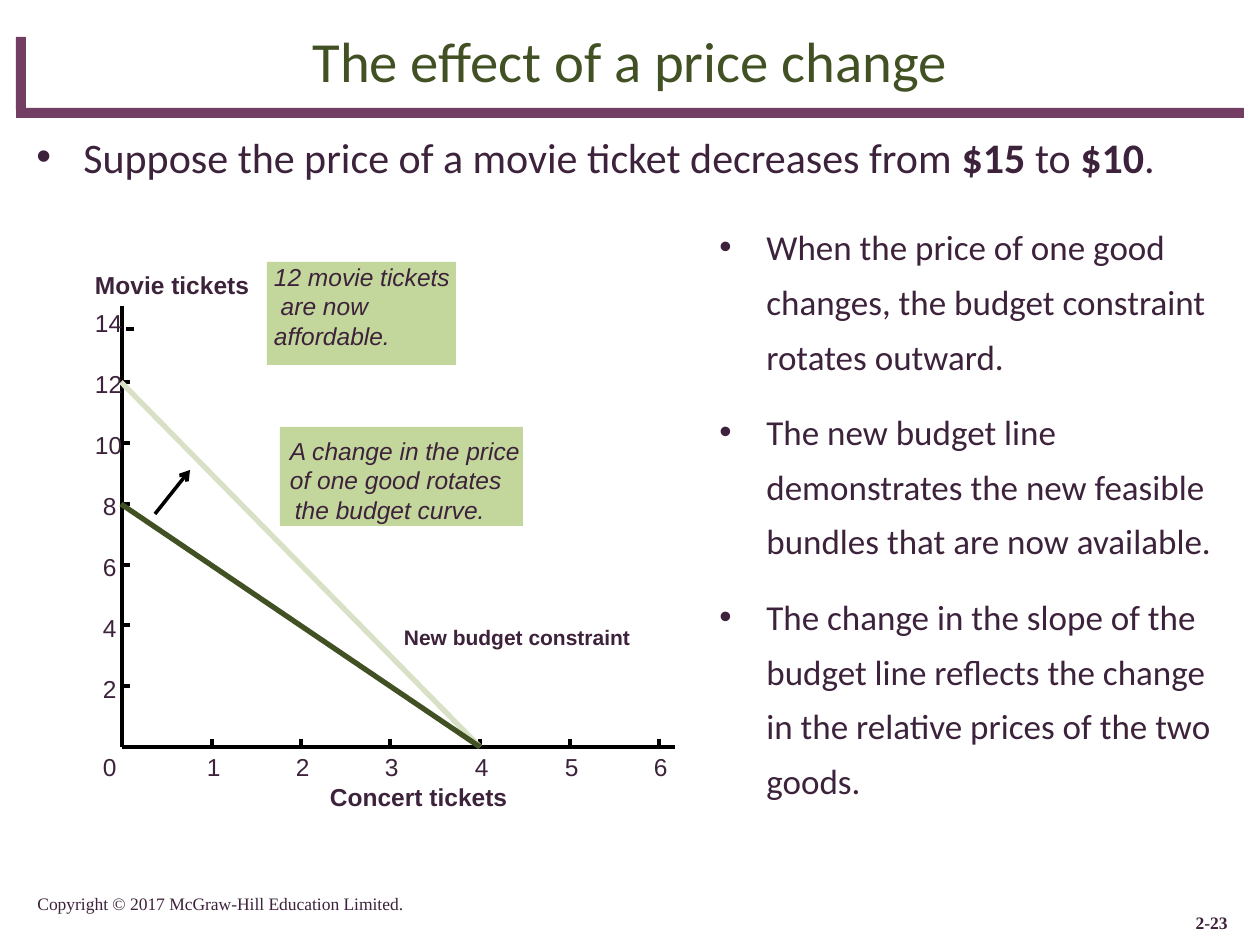
from dataclasses import dataclass

from lxml.etree import SubElement
from pptx import Presentation
from pptx.dml.color import RGBColor
from pptx.enum.shapes import MSO_CONNECTOR, MSO_SHAPE
from pptx.enum.text import MSO_ANCHOR, PP_ALIGN
from pptx.oxml.ns import qn
from pptx.util import Pt

SCALE = 914400 / 126
PLUM = RGBColor(0x72, 0x3E, 0x63)
INK = RGBColor(0x3D, 0x22, 0x3B)
OLIVE = RGBColor(0x42, 0x51, 0x24)
PALE_OLIVE = RGBColor(0xD8, 0xE0, 0xC5)
LEAF = RGBColor(0xC3, 0xD6, 0x9B)
BLACK = RGBColor(0, 0, 0)

ORIGIN_X, ORIGIN_Y = 122, 747
TICK = 8


@dataclass(frozen=True)
class Style:
    font: str
    size: float
    color: RGBColor = INK
    bold: bool = False
    italic: bool = False


@dataclass(frozen=True)
class Label:
    text: str
    left: int
    top: int
    width: int
    style: Style
    height: int = 30


@dataclass(frozen=True)
class Line:
    start: tuple[int, int]
    end: tuple[int, int]
    color: RGBColor = BLACK
    width: float = 0
    arrow: bool = False


TITLE = Style("Calibri", 32.4, OLIVE)
LEAD = Style("Calibri", 24)
LEAD_BOLD = Style("Calibri", 24, bold=True)
BODY = Style("Calibri", 20)
FOOTER = Style("Times New Roman", 10)
PAGE_NUMBER = Style("Times New Roman", 10, bold=True)
NUMBER = Style("Arial", 14)
AXIS = Style("Arial", 14, bold=True)
CURVE = Style("Arial", 12, bold=True)
REMARK = Style("Arial", 14, italic=True)

POINTS = (
    "When the price of one good changes, the budget constraint rotates outward.",
    "The new budget line demonstrates the new feasible bundles that are now available.",
    "The change in the slope of the budget line reflects the change in the relative prices of the two goods.",
)
LEAD_SPANS = (
    ("Suppose the price of a movie ticket decreases from ", LEAD),
    ("$15 ", LEAD_BOLD),
    ("to ", LEAD),
    ("$10", LEAD_BOLD),
    (".", LEAD),
)
LABELS = (
    Label("Movie tickets", 95, 270, 155, AXIS),
    Label("Concert tickets", 330, 782, 178, AXIS),
    Label("A change in the price", 290, 436, 230, REMARK),
    Label("of one good rotates", 290, 465, 212, REMARK),
    Label("the budget curve.", 295, 495, 190, REMARK),
    Label("New budget constraint", 404, 625, 229, CURVE, 26),
)


def px(value: float) -> int:
    return round(value * SCALE)


def add_span(para, text: str, style: Style) -> None:
    span = para.add_run()
    span.text = text
    span.font.name = style.font
    span.font.size = Pt(style.size)
    span.font.color.rgb = style.color
    span.font.bold = style.bold
    span.font.italic = style.italic


def add_box(page, left: int, top: int, width: int, height: int, anchor=MSO_ANCHOR.TOP):
    box = page.shapes.add_textbox(px(left), px(top), px(width), px(height))
    box.text_frame.word_wrap = True
    box.text_frame.vertical_anchor = anchor
    return box.text_frame


def clear_margins(frame) -> None:
    frame.margin_left = frame.margin_right = frame.margin_top = frame.margin_bottom = 0


def add_label(page, label: Label) -> None:
    frame = add_box(page, label.left, label.top, label.width, label.height)
    frame.word_wrap = False
    clear_margins(frame)
    add_span(frame.paragraphs[0], label.text, label.style)


def add_rectangle(page, left: int, top: int, width: int, height: int, color: RGBColor):
    shape = page.shapes.add_shape(MSO_SHAPE.RECTANGLE, px(left), px(top), px(width), px(height))
    shape.shadow.inherit = False
    shape.fill.solid()
    shape.fill.fore_color.rgb = color
    shape.line.fill.background()
    return shape


def add_line(page, line: Line) -> None:
    connector = page.shapes.add_connector(
        MSO_CONNECTOR.STRAIGHT, *(px(value) for value in line.start + line.end)
    )
    connector.line.color.rgb = line.color
    connector.line.width = Pt(line.width)
    if line.arrow:
        SubElement(connector.line._get_or_add_ln(), qn("a:tailEnd"), type="arrow")
    SubElement(connector._element.spPr, qn("a:effectLst"))


def make_bullet(para) -> None:
    properties = para._p.get_or_add_pPr()
    properties.set("marL", str(px(47)))
    properties.set("indent", str(-px(47)))
    SubElement(properties, qn("a:buFont"), typeface="Arial")
    SubElement(properties, qn("a:buChar"), char="•")


def add_axes(page) -> None:
    add_line(page, Line((ORIGIN_X, ORIGIN_Y), (ORIGIN_X, 306)))
    add_line(page, Line((ORIGIN_X, ORIGIN_Y), (675, ORIGIN_Y)))
    for step in range(7):
        y = ORIGIN_Y - round(step * 365 / 6)
        x = ORIGIN_X + round(step * 89.5)
        add_line(page, Line((ORIGIN_X, y), (ORIGIN_X + TICK, y)))
        add_line(page, Line((x, ORIGIN_Y - TICK), (x, ORIGIN_Y)))
        label_left = x - 5 if step else 103
        add_label(page, Label(str(step), label_left, 752, 14, NUMBER))
    add_line(page, Line((126, 329), (134, 329)))
    for step in range(1, 8):
        text = str(2 * step)
        left, width = (103, 14) if len(text) == 1 else (95, 28)
        add_label(page, Label(text, left, 735 - 61 * step, width, NUMBER))


def add_texts(page) -> None:
    title = add_box(page, 63, 21, 1134, 78, MSO_ANCHOR.MIDDLE).paragraphs[0]
    title.alignment = PP_ALIGN.CENTER
    add_span(title, "The effect of a price change", TITLE)

    lead = add_box(page, 24, 125, 1166, 113).paragraphs[0]
    make_bullet(lead)
    for text, style in LEAD_SPANS:
        add_span(lead, text, style)

    body = add_box(page, 707, 207, 523, 638)
    for index, text in enumerate(POINTS):
        para = body.add_paragraph() if index else body.paragraphs[0]
        make_bullet(para)
        para.line_spacing = 1.3
        para.space_before = Pt(6 if index else 0)
        para.space_after = Pt(6)
        add_span(para, text, BODY)

    copyright_line = add_box(page, 25, 882, 588, 38, MSO_ANCHOR.BOTTOM).paragraphs[0]
    add_span(copyright_line, "Copyright © 2017 McGraw-Hill Education Limited.", FOOTER)
    number = add_box(page, 1179, 901, 61, 38, MSO_ANCHOR.BOTTOM).paragraphs[0]
    number.alignment = PP_ALIGN.RIGHT
    add_span(number, "2-23", PAGE_NUMBER)


def add_affordable_note(page) -> None:
    frame = add_rectangle(page, 267, 262, 189, 103, LEAF).text_frame
    frame.word_wrap = True
    frame.vertical_anchor = MSO_ANCHOR.TOP
    clear_margins(frame)
    frame.margin_left = px(7)
    para = frame.paragraphs[0]
    para.alignment = PP_ALIGN.LEFT
    add_span(para, "12 movie tickets", REMARK)
    para.add_line_break()
    add_span(para, " are now affordable.", REMARK)


def main() -> None:
    deck = Presentation()
    deck.slide_width, deck.slide_height = px(1260), px(945)
    page = deck.slides.add_slide(deck.slide_layouts[6])
    add_rectangle(page, 16, 108, 1228, 10, PLUM)
    add_rectangle(page, 16, 37, 10, 73, PLUM)
    add_texts(page)
    add_axes(page)
    add_rectangle(page, 280, 427, 243, 99, LEAF)
    add_affordable_note(page)
    for label in LABELS:
        add_label(page, label)
    add_line(page, Line((121, 382), (480, ORIGIN_Y), PALE_OLIVE, 3))
    add_line(page, Line((121, 504), (480, ORIGIN_Y), OLIVE, 3))
    add_line(page, Line((155, 514), (190, 470), BLACK, 2, arrow=True))
    deck.save("out.pptx")


if __name__ == "__main__":
    main()
